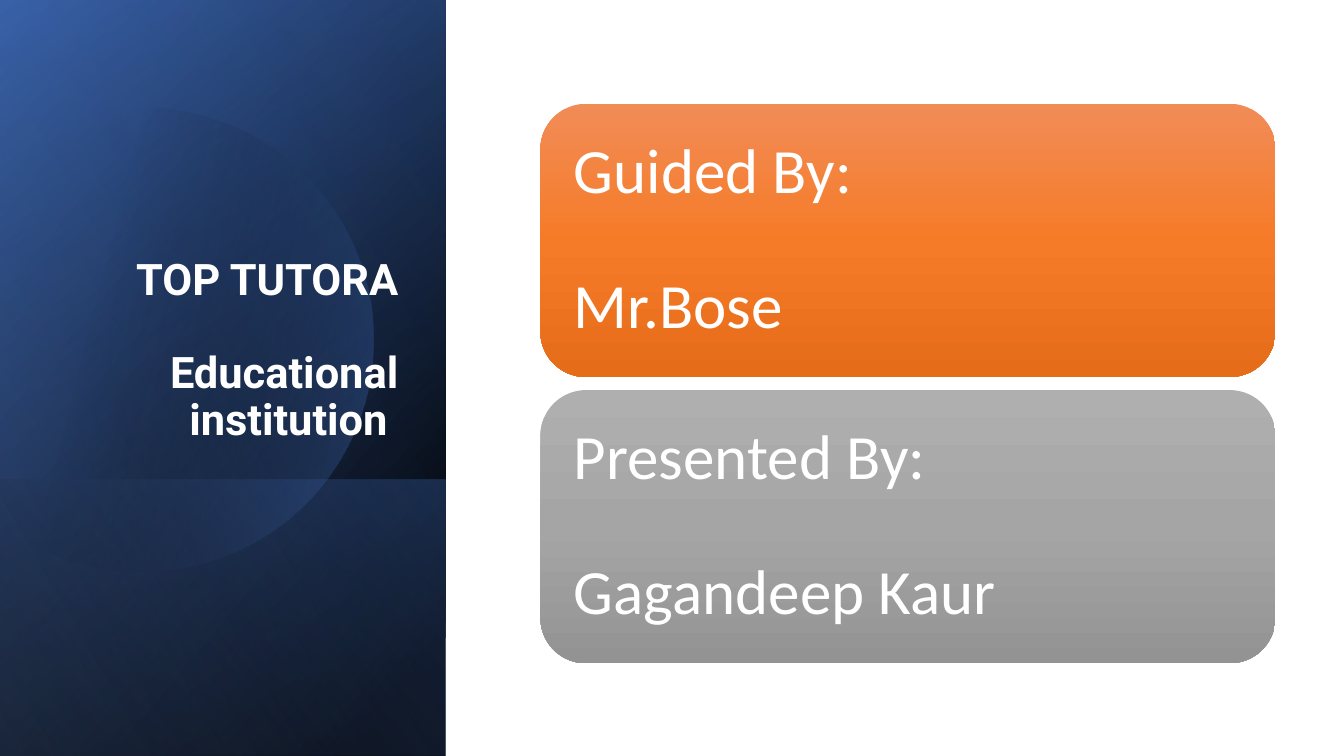
from math import cos, radians, sin

from lxml import etree
from pptx import Presentation
from pptx.dml.color import RGBColor
from pptx.enum.shapes import MSO_SHAPE
from pptx.enum.text import MSO_ANCHOR, MSO_AUTO_SIZE, PP_ALIGN
from pptx.oxml.ns import qn
from pptx.util import Inches, Pt

RECTANGLE, ROUNDED = MSO_SHAPE.RECTANGLE, MSO_SHAPE.ROUNDED_RECTANGLE
LEFT, RIGHT = PP_ALIGN.LEFT, PP_ALIGN.RIGHT
MIDDLE, BOTTOM = MSO_ANCHOR.MIDDLE, MSO_ANCHOR.BOTTOM
NO_FIT = MSO_AUTO_SIZE.NONE

WHITE = RGBColor(0xFF, 0xFF, 0xFF)
BLACK = RGBColor(0x00, 0x00, 0x00)
NAVY = RGBColor(0x2F, 0x55, 0x97)
BLUE = RGBColor(0x44, 0x72, 0xC4)
PALE_BLUE = RGBColor(0x8F, 0xAA, 0xDC)
ORANGES = [RGBColor(0xF1, 0x8C, 0x57), RGBColor(0xF6, 0x7B, 0x28), RGBColor(0xE5, 0x6C, 0x19)]
GRAYS = [RGBColor(0xAF, 0xAF, 0xAF), RGBColor(0xA5, 0xA5, 0xA5), RGBColor(0x93, 0x93, 0x93)]

TITLE = ["TOP TUTORA", "Educational institution "]
CARDS = [
    (["Guided By:", "Mr.Bose"], ORANGES),
    (["Presented By:", "Gagandeep Kaur"], GRAYS),
]

SLIDE_HEIGHT, PANEL_WIDTH = 7.5, 4.42
BACK_PANELS = [
    (0, [(8, BLACK, 100), (100, NAVY, 100)], 50),
    (0, [(0, BLACK, 0), (99, BLUE, 46)], 30),
    (4.76, [(2, BLUE, 29), (100, BLACK, 30)], 130),
]
DISC_STOPS = [(29, BLACK, 0), (100, BLUE, 43)]
SHEEN = (0, [(0, BLACK, 0), (99, PALE_BLUE, 11)], 120)
DISC_X, DISC_Y, DISC_RADIUS, DISC_SWEEP = 1.4, 3.37, 2.3, 127
CARD_LEFT, CARD_TOP, CARD_WIDTH, CARD_HEIGHT, CARD_STEP = 5.36, 1.03, 7.29, 2.71, 2.84


def paint_gradient(shape, stops, angle):
    shape.shadow.inherit = False
    shape.line.fill.background()
    shape.fill.gradient()
    gradient = shape.fill._xPr.find(qn("a:gradFill"))
    for child in list(gradient):
        gradient.remove(child)
    gradient.set("rotWithShape", "1")
    stop_list = etree.SubElement(gradient, qn("a:gsLst"))
    for position, color, opacity in stops:
        stop = etree.SubElement(stop_list, qn("a:gs"), pos=str(position * 1000))
        tint = etree.SubElement(stop, qn("a:srgbClr"), val=str(color))
        if opacity < 100:
            etree.SubElement(tint, qn("a:alpha"), val=str(opacity * 1000))
    etree.SubElement(gradient, qn("a:lin"), ang=str(angle * 60000), scaled="0")


def add_panel(page, top, stops, angle):
    length = SLIDE_HEIGHT - top
    panel = page.shapes.add_shape(
        RECTANGLE, Inches((PANEL_WIDTH - length) / 2), Inches(top + (length - PANEL_WIDTH) / 2),
        Inches(length), Inches(PANEL_WIDTH))
    panel.rotation = 90
    panel.element.spPr.xfrm.set("flipH", "1")
    paint_gradient(panel, stops, angle)


def add_disc(page):
    points = [
        (Inches(DISC_X + DISC_RADIUS * cos(radians(degree))),
         Inches(DISC_Y + DISC_RADIUS * sin(radians(degree))))
        for degree in range(-DISC_SWEEP, DISC_SWEEP + 1, 2)
    ]
    builder = page.shapes.build_freeform(*points[0])
    builder.add_line_segments(points[1:], close=True)
    paint_gradient(builder.convert_to_shape(), DISC_STOPS, 14)


def write_text(shape, lines, *, font, size, gap, align, anchor, bold=False, side=0.1, edge=0.05):
    frame = shape.text_frame
    frame.word_wrap = True
    frame.auto_size = NO_FIT
    frame.vertical_anchor = anchor
    frame.margin_left = frame.margin_right = Inches(side)
    frame.margin_top = frame.margin_bottom = Inches(edge)
    for index, line in enumerate(lines):
        para = frame.add_paragraph() if index else frame.paragraphs[0]
        para.alignment = align
        para.line_spacing = 0.9
        para.space_before = Pt(gap if index else 0)
        para.space_after = Pt(0)
        span = para.add_run()
        span.text = line
        span.font.name = font
        span.font.size = Pt(size)
        span.font.bold = bold
        span.font.color.rgb = WHITE


def main():
    deck = Presentation()
    deck.slide_width, deck.slide_height = Inches(13.33), Inches(SLIDE_HEIGHT)
    page = deck.slides.add_slide(deck.slide_layouts[5])

    for panel in BACK_PANELS:
        add_panel(page, *panel)
    add_disc(page)
    add_panel(page, *SHEEN)

    title = page.shapes.title
    title.left, title.top, title.width, title.height = map(Inches, (0.64, 1.84, 3.41, 2.62))
    write_text(title, TITLE, font="Roboto", size=31, gap=33, align=RIGHT, anchor=BOTTOM, bold=True)
    title.element.getparent().append(title.element)

    for index, (lines, colors) in enumerate(CARDS):
        card = page.shapes.add_shape(
            ROUNDED, Inches(CARD_LEFT), Inches(CARD_TOP + index * CARD_STEP),
            Inches(CARD_WIDTH), Inches(CARD_HEIGHT))
        paint_gradient(card, [(step * 50, color, 100) for step, color in enumerate(colors)], 90)
        write_text(card, lines, font="Calibri", size=45, gap=48, align=LEFT, anchor=MIDDLE,
                   side=0.2, edge=0.1)

    deck.save("out.pptx")


if __name__ == "__main__":
    main()
